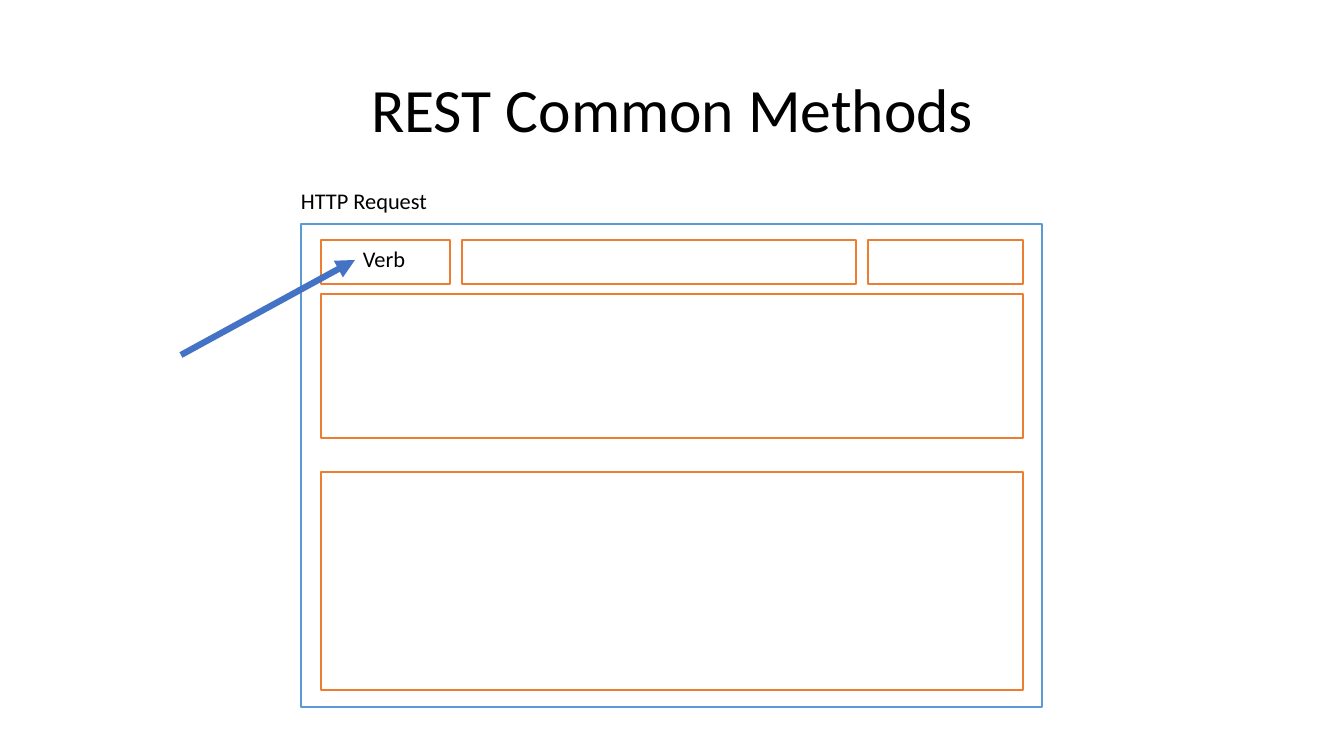
from pptx import Presentation
from pptx.dml.color import RGBColor
from pptx.enum.shapes import MSO_CONNECTOR, MSO_SHAPE
from pptx.enum.text import MSO_ANCHOR, MSO_AUTO_SIZE, PP_ALIGN
from pptx.oxml.ns import qn
from pptx.util import Inches, Pt
from lxml import etree

# Content: lengths in pixels
TITLE = ("REST Common Methods", (93, 40, 1159, 146))
FRAME = (301, 224, 741, 483)
LEFT, RIGHT, GAP = 321, 1023, 12
TOP_ROW = (240, 44, (129, 394, 155))  # top, height, cell widths
BANDS = [(294, 144), (472, 218)]  # top, height
LABELS = [
    ("HTTP Request", (291, 182, 158, 37)),
    ("Verb", (353, 240, 66, 37)),
]
ARROW = (181, 355, 355, 260)
BLUE, ORANGE, ARROW_BLUE = "5B9BD5", "ED7D31", "4472C4"
WHITE, BLACK = "FFFFFF", "000000"


def px(*vals):
    return [Inches(v / 100.8) for v in vals]


def rgb(code):
    return RGBColor.from_string(code)


def write(frame, text, size):
    frame.text = text
    para = frame.paragraphs[0]
    font = para.runs[0].font
    font.name, font.size = "Calibri", Pt(size)
    font.color.rgb = rgb(BLACK)
    return para


def add_box(area, color):
    box = slide.shapes.add_shape(MSO_SHAPE.RECTANGLE, *px(*area))
    box.shadow.inherit = False
    box.fill.solid()
    box.fill.fore_color.rgb = rgb(WHITE)
    box.line.color.rgb = rgb(color)
    box.line.width = Pt(1)


prs = Presentation()
prs.slide_width, prs.slide_height = px(1344, 756)
slide = prs.slides.add_slide(prs.slide_layouts[5])

# Title
text, area = TITLE
title = slide.shapes.title
title.left, title.top, title.width, title.height = px(*area)
title.text_frame.vertical_anchor = MSO_ANCHOR.MIDDLE
para = write(title.text_frame, text, 44)
para.alignment = PP_ALIGN.CENTER
para.line_spacing = 0.9

# Request frame, its top row and its wide bands
add_box(FRAME, BLUE)
top, high, widths = TOP_ROW
left = LEFT
for wide in widths:
    add_box((left, top, wide, high), ORANGE)
    left += wide + GAP
for top, high in BANDS:
    add_box((LEFT, top, RIGHT - LEFT, high), ORANGE)

# Labels
for text, area in LABELS:
    frame = slide.shapes.add_textbox(*px(*area)).text_frame
    frame.word_wrap = True
    frame.auto_size = MSO_AUTO_SIZE.SHAPE_TO_FIT_TEXT
    write(frame, text, 16)

# Arrow to the verb
arrow = slide.shapes.add_connector(MSO_CONNECTOR.STRAIGHT, *px(*ARROW))
arrow.line.color.rgb = rgb(ARROW_BLUE)
arrow.line.width = Pt(4.5)
line = arrow.line._get_or_add_ln()
etree.SubElement(line, qn("a:tailEnd")).set("type", "triangle")
etree.SubElement(arrow._element.spPr, qn("a:effectLst"))

prs.save("out.pptx")
